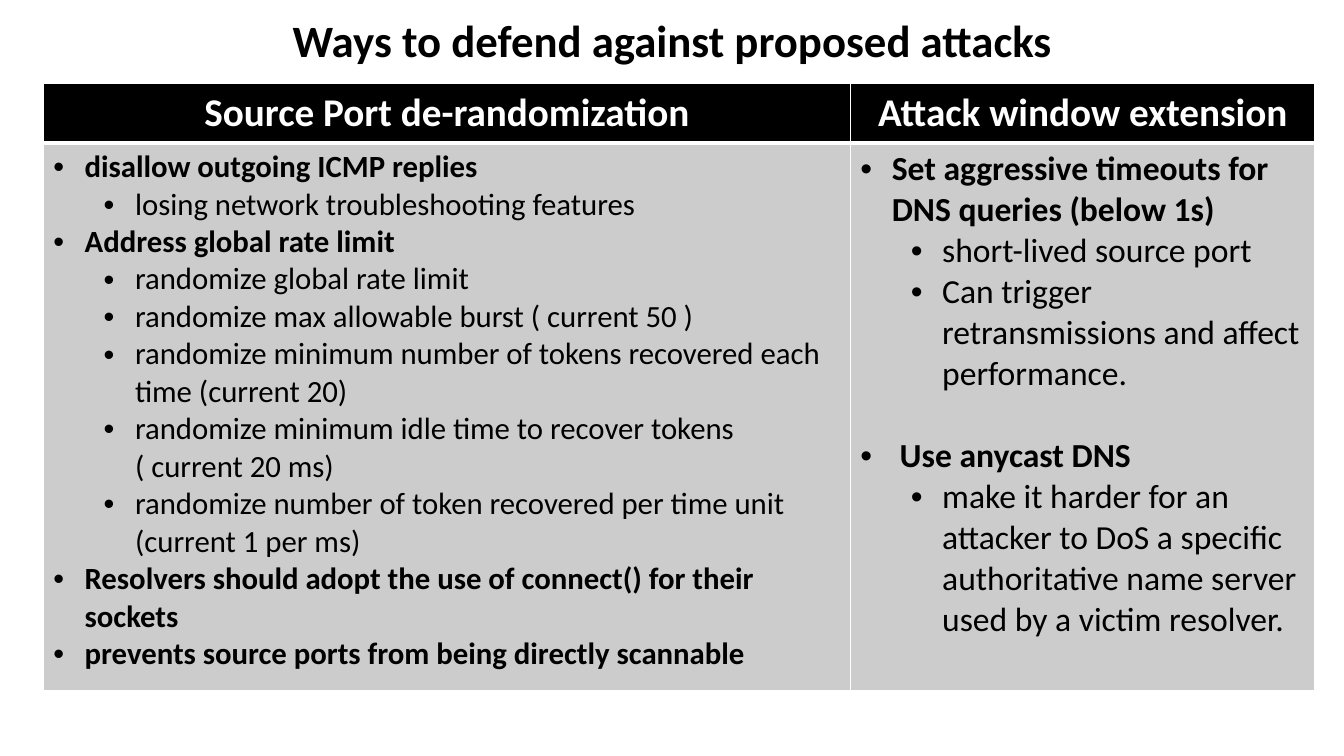
from pptx import Presentation
from pptx.dml.color import RGBColor
from pptx.enum.text import MSO_ANCHOR, PP_ALIGN
from pptx.oxml.ns import qn
from pptx.util import Cm, Pt
from lxml import etree

CENTER = PP_ALIGN.CENTER
LEFT = PP_ALIGN.LEFT
MIDDLE = MSO_ANCHOR.MIDDLE

TITLE = "Ways to defend against proposed attacks"
HEADINGS = ["Source Port de-randomization", "Attack window extension"]
DEFENSES = [
    [
        ("disallow outgoing ICMP replies", ["losing network troubleshooting features"]),
        ("Address global rate limit", [
            "randomize global rate limit",
            "randomize max allowable burst ( current 50 )",
            "randomize minimum number of tokens recovered each time (current 20)",
            "randomize minimum idle time to recover tokens ( current 20 ms)",
            "randomize number of token recovered per time unit (current 1 per ms)",
        ]),
        ("Resolvers should adopt the use of connect() for their sockets", []),
        ("prevents source ports from being directly scannable", []),
    ],
    [
        ("Set aggressive timeouts for DNS queries (below 1s)", [
            "short-lived source port",
            "Can trigger retransmissions and affect performance.",
        ]),
        ("Use anycast DNS", [
            "make it harder for an attacker to DoS a specific authoritative "
            "name server used by a victim resolver.",
        ]),
    ],
]
GROUP_GAPS = [0, 29.3]
LATER_GROUP_INDENTS = [0.79, 0.99]

THEME = {
    "font": "Calibri",
    "black": RGBColor(0, 0, 0),
    "white": RGBColor(255, 255, 255),
    "gray": RGBColor(204, 204, 204),
    "title": 32,
    "heading": 28,
    "body": [22, 24],
}

COLUMN_WIDTHS = [Cm(20.34), Cm(11.71)]
ROW_HEIGHTS = [Cm(1.5), Cm(13.79)]
BULLET_INDENT = 0.79
SUB_INDENT = 2.06


def add_span(para, text, size, color, bold):
    span = para.add_run()
    span.text = text
    span.font.name = THEME["font"]
    span.font.size = Pt(size)
    span.font.bold = bold
    span.font.color.rgb = color


def add_bullet(para, margin, hang):
    properties = para._p.get_or_add_pPr()
    properties.set("marL", str(Cm(margin)))
    properties.set("indent", str(-Cm(hang)))
    etree.SubElement(properties, qn("a:buFont")).set("typeface", "Arial")
    etree.SubElement(properties, qn("a:buChar")).set("char", "•")


def style_cell(cell, fill, bottom_width):
    properties = cell._tc.get_or_add_tcPr()
    for side in "LRTB":
        width = bottom_width if side == "B" else 1
        line = etree.SubElement(properties, qn(f"a:ln{side}"), w=str(Pt(width)))
        paint = etree.SubElement(line, qn("a:solidFill"))
        etree.SubElement(paint, qn("a:srgbClr"), val=str(THEME["white"]))
    cell.fill.solid()
    cell.fill.fore_color.rgb = fill


def fill_defenses(cell, groups, size, gap, later_indent):
    frame = cell.text_frame
    for index, (point, details) in enumerate(groups):
        para = frame.add_paragraph() if index else frame.paragraphs[0]
        indent = later_indent if index else BULLET_INDENT
        add_bullet(para, indent, indent)
        para.alignment = LEFT
        if index and gap:
            para.space_before = Pt(gap)
        add_span(para, point, size, THEME["black"], True)
        for detail in details:
            para = frame.add_paragraph()
            para.level = 1
            add_bullet(para, SUB_INDENT, BULLET_INDENT)
            para.alignment = LEFT
            add_span(para, detail, size, THEME["black"], False)


def add_title(page):
    box = page.shapes.add_textbox(Cm(2.34), Cm(0.05), Cm(29.21), Cm(2.06))
    frame = box.text_frame
    frame.word_wrap = True
    frame.vertical_anchor = MIDDLE
    para = frame.paragraphs[0]
    para.alignment = CENTER
    para.line_spacing = 0.9
    add_span(para, TITLE, THEME["title"], THEME["black"], True)


def add_defense_table(page):
    table = page.shapes.add_table(
        len(ROW_HEIGHTS), len(COLUMN_WIDTHS), Cm(1.09), Cm(2.11),
        sum(COLUMN_WIDTHS), sum(ROW_HEIGHTS)).table
    for row, height in zip(table.rows, ROW_HEIGHTS):
        row.height = height
    for index, width in enumerate(COLUMN_WIDTHS):
        table.columns[index].width = width
        heading, body = table.cell(0, index), table.cell(1, index)
        style_cell(heading, THEME["black"], 3)
        para = heading.text_frame.paragraphs[0]
        para.alignment = CENTER
        add_span(para, HEADINGS[index], THEME["heading"], THEME["white"], True)
        style_cell(body, THEME["gray"], 1)
        fill_defenses(body, DEFENSES[index], THEME["body"][index],
                      GROUP_GAPS[index], LATER_GROUP_INDENTS[index])


def main():
    deck = Presentation()
    deck.slide_width, deck.slide_height = Cm(33.87), Cm(19.05)
    page = deck.slides.add_slide(deck.slide_layouts[6])
    add_title(page)
    add_defense_table(page)
    deck.save("out.pptx")


if __name__ == "__main__":
    main()
